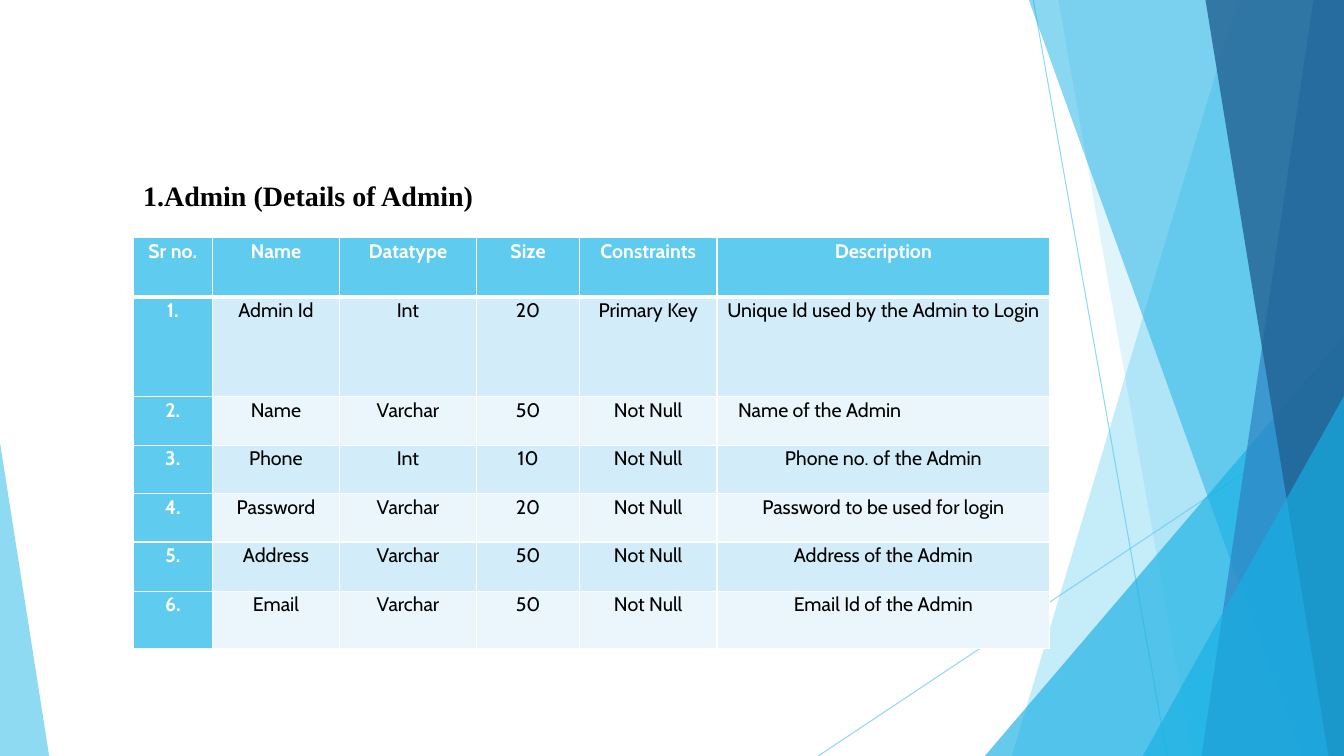
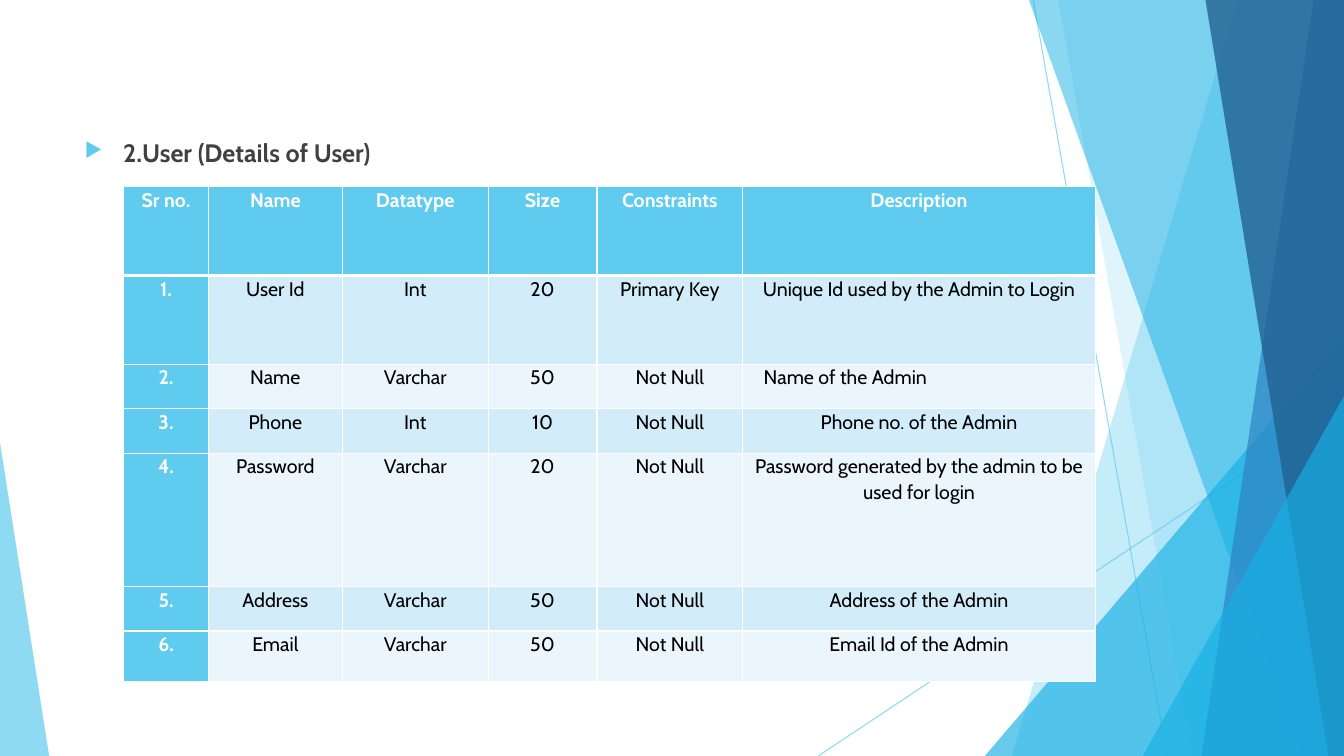
import dataclasses

import lxml.etree
import pptx
import pptx.dml.color
import pptx.enum.shapes
import pptx.enum.text
import pptx.oxml.ns
import pptx.util

Cm = pptx.util.Cm
Pt = pptx.util.Pt
qn = pptx.oxml.ns.qn
Align = pptx.enum.text.PP_ALIGN


@dataclasses.dataclass(frozen=True)
class Theme:
    sky: str = "5FCBEF"
    aqua: str = "17B0E4"
    blue: str = "2E83C3"
    navy: str = "226292"
    odd: str = "D2ECF9"
    even: str = "EAF6FC"
    white: str = "FFFFFF"
    black: str = "000000"
    grey: str = "404040"
    sans: str = "Cabin"
    serif: str = "Times New Roman"
    cell: int = 14


T = Theme()
WIDE, HIGH = 33.87, 19.05

HEAD = ("Sr no.", "Name", "Datatype", "Size", "Constraints", "Description")
SHARES = (8.7, 13.8, 15, 11.2, 15, 36.3)  # percent of table width
LEFT = "Name of the Admin"  # the one left-aligned entry


def fields(key, secret):
    """Table rows; only the key name and the password text vary."""
    rows = [
        (key, "Int", "20", "Primary Key", "Unique Id used by the Admin to Login"),
        ("Name", "Varchar", "50", "Not Null", LEFT),
        ("Phone", "Int", "10", "Not Null", "Phone no. of the Admin"),
        ("Password", "Varchar", "20", "Not Null", secret),
        ("Address", "Varchar", "50", "Not Null", "Address of the Admin"),
        ("Email", "Varchar", "50", "Not Null", "Email Id of the Admin"),
    ]
    return [HEAD] + [(f"{n}.", *row) for n, row in enumerate(rows, 1)]


SLIDES = [
    {
        "title": "1.Admin (Details of Admin)",
        "box": (3.35, 4.37, 14.17, 1.12),
        "font": (T.serif, 20, T.black),
        "bullet": False,
        "rows": fields("Admin Id", "Password to be used for login"),
        "table": (3.35, 5.99, 23.11),
        "heights": (1.5, 2.51, 1.22, 1.22, 1.22, 1.24, 1.45),
    },
    {
        "title": "2.User (Details of User)",
        "box": (1.88, 3.28, 23.88, 1.12),
        "font": (T.sans, 18, T.grey),
        "bullet": True,
        "rows": fields("User Id", "Password generated by the admin to be used for login"),
        "table": (3.12, 4.7, 24.49),
        "heights": (2.24, 2.24, 1.12, 1.12, 3.36, 1.12, 1.27),
    },
]

# Back to front: kind, geometry in cm, colour, opacity in percent.
# line: x1, y1, x2, y2; band: top x, bottom x; wedge: left, top, right, apex
DECOR = [
    ("line", (26.04, 0, 29.41, HIGH), T.sky, 70),
    ("line", (WIDE, 10.24, 20.62, HIGH), T.sky, 70),
    ("band", (31.19, 25.5), T.sky, 36),
    ("band", (26.67, 30.05), T.sky, 20),
    ("wedge", (24.82, 8.46, WIDE, 1), T.aqua, 66),
    ("band", (25.93, 32.79), T.aqua, 50),
    ("band", (33.1, 30.28), T.blue, 70),
    ("band", (30.38, 33.48), T.navy, 80),
    ("wedge", (28.8, 9.98, WIDE, 1), T.aqua, 66),
    ("wedge", (0, 11.15, 1.24, 0), T.sky, 70),
]


def rgb(code):
    return pptx.dml.color.RGBColor.from_string(code)


def add(node, tag, **attrs):
    return lxml.etree.SubElement(node, qn(tag), attrs)


def style(para, face, size, color, bold):
    for run in para.runs:
        font = run.font
        font.name, font.size, font.bold = face, Pt(size), bold
        font.color.rgb = rgb(color)


def line(group, x1, y1, x2, y2):
    kind = pptx.enum.shapes.MSO_CONNECTOR.STRAIGHT
    return group.shapes.add_connector(kind, Cm(x1), Cm(y1), Cm(x2), Cm(y2))


def band(group, top, base):
    """Slanted panel that runs to the right edge."""
    form = group.shapes.build_freeform(Cm(top), 0)
    ends = [(WIDE, 0), (WIDE, HIGH), (base, HIGH)]
    form.add_line_segments([(Cm(x), Cm(y)) for x, y in ends])
    return form.convert_to_shape()


def wedge(group, left, top, right, apex):
    """Triangle that stands on the bottom edge."""
    kind = pptx.enum.shapes.MSO_SHAPE.ISOSCELES_TRIANGLE
    shape = group.shapes.add_shape(
        kind, Cm(left), Cm(top), Cm(right - left), Cm(HIGH - top))
    shape.adjustments[0] = apex
    return shape


DRAW = {"line": line, "band": band, "wedge": wedge}


def adorn(deck, slide):
    """Draw the decor as a group and move it to the slide master."""
    group = slide.shapes.add_group_shape()
    for kind, geom, color, alpha in DECOR:
        shape = DRAW[kind](group, *geom)
        if kind == "line":
            shape.line.color.rgb = rgb(color)
            shape.line.width = Pt(0.75)
            add(shape.element.spPr, "a:effectLst")
        else:
            shape.shadow.inherit = False
            shape.fill.solid()
            shape.fill.fore_color.rgb = rgb(color)
            shape.line.fill.background()
        for node in shape.element.iter(qn("a:srgbClr")):
            add(node, "a:alpha", val=str(alpha * 1000))
    for num, node in enumerate(group.element.iter(qn("p:cNvPr")), 20):
        node.set("id", str(num))
    deck.slide_master.shapes.element.insert(2, group.element)


def head(slide, page):
    title = slide.shapes.title
    title.left, title.top, title.width, title.height = map(Cm, page["box"])
    frame = title.text_frame
    frame.text = page["title"]
    frame.auto_size = pptx.enum.text.MSO_AUTO_SIZE.NONE
    frame.vertical_anchor = pptx.enum.text.MSO_ANCHOR.MIDDLE
    para = frame.paragraphs[0]
    para.alignment = Align.LEFT
    if page["bullet"]:
        props = para._p.get_or_add_pPr()
        props.set("marL", str(Cm(0.97)))
        props.set("indent", str(-Cm(0.97)))
        add(add(props, "a:buClr"), "a:srgbClr", val=T.sky)
        add(props, "a:buSzPct", val="80000")
        add(props, "a:buChar", char="▶")
    style(para, *page["font"], True)


def edge(cell, row):
    """White rules, thick below the header row."""
    props = cell._tc.get_or_add_tcPr()
    widths = {"L": 1, "R": 1, "T": 3 if row == 1 else 1, "B": 3 if row == 0 else 1}
    for side, width in widths.items():
        rule = add(props, f"a:ln{side}", w=str(Pt(width)))
        add(add(rule, "a:solidFill"), "a:srgbClr", val=T.white)


def fill(cell, text, row, col):
    key = row == 0 or col == 0
    edge(cell, row)
    cell.fill.solid()
    cell.fill.fore_color.rgb = rgb(T.sky if key else T.odd if row % 2 else T.even)
    left = text == LEFT
    cell.margin_left = Cm(0.53 if left else 0.18)
    cell.margin_right = Cm(0.18)
    cell.margin_top = cell.margin_bottom = 0
    cell.text_frame.text = text
    para = cell.text_frame.paragraphs[0]
    para.alignment = Align.LEFT if left else Align.CENTER
    para.line_spacing = 1.07
    style(para, T.sans, T.cell, T.white if key else T.black, key)


def grid(slide, page):
    rows, tall = page["rows"], page["heights"]
    left, top, width = page["table"]
    table = slide.shapes.add_table(
        len(rows), len(HEAD), Cm(left), Cm(top), Cm(width), Cm(sum(tall))).table
    table.first_col = True
    for col, share in zip(table.columns, SHARES):
        col.width = Cm(width * share / 100)
    for row, size in zip(table.rows, tall):
        row.height = Cm(size)
    for r, texts in enumerate(rows):
        for c, text in enumerate(texts):
            fill(table.cell(r, c), text, r, c)


def main():
    deck = pptx.Presentation()
    deck.slide_width, deck.slide_height = Cm(WIDE), Cm(HIGH)
    for num, page in enumerate(SLIDES):
        slide = deck.slides.add_slide(deck.slide_layouts.get_by_name("Title Only"))
        if num == 0:
            adorn(deck, slide)
        head(slide, page)
        grid(slide, page)
    deck.save("out.pptx")


if __name__ == "__main__":
    main()
